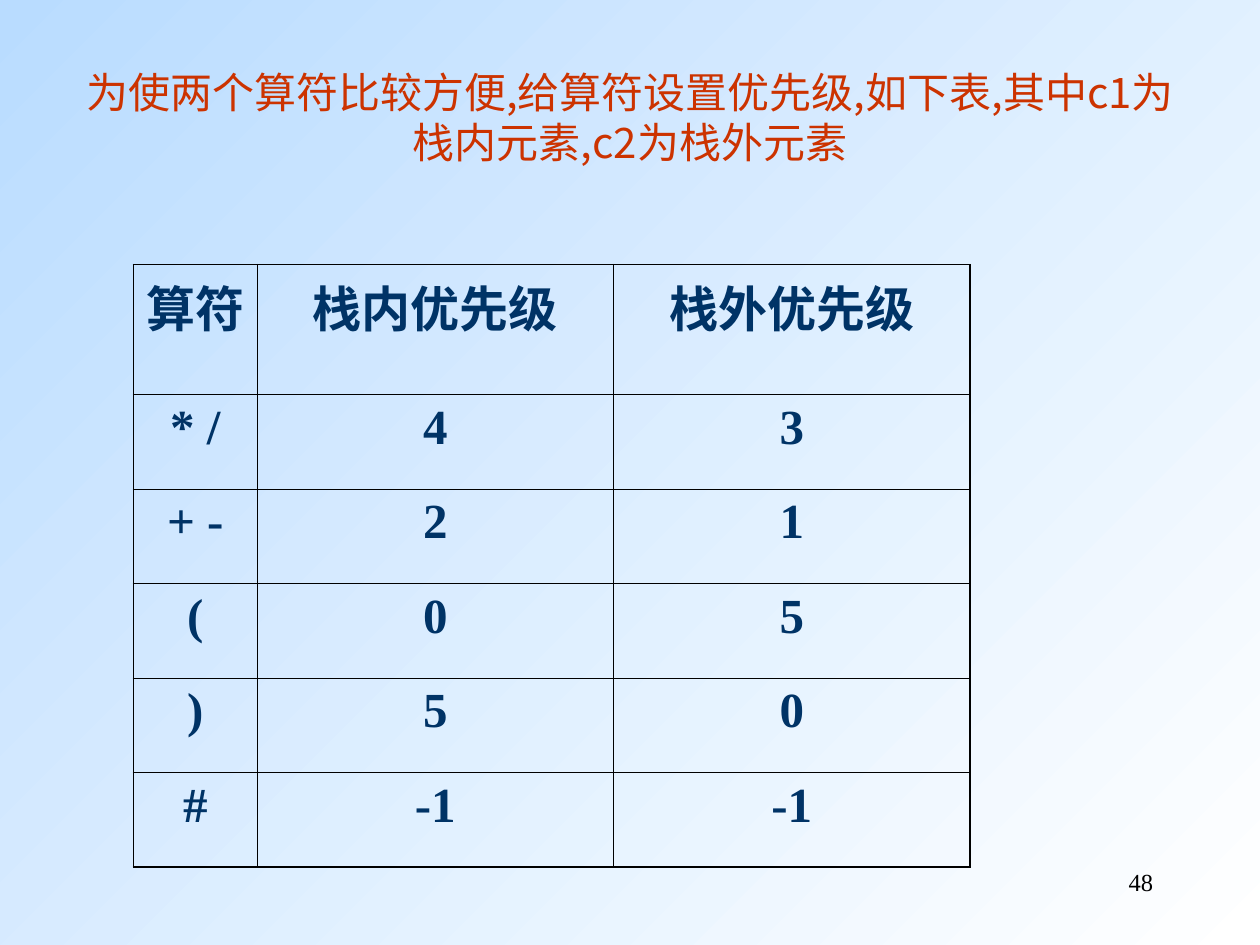
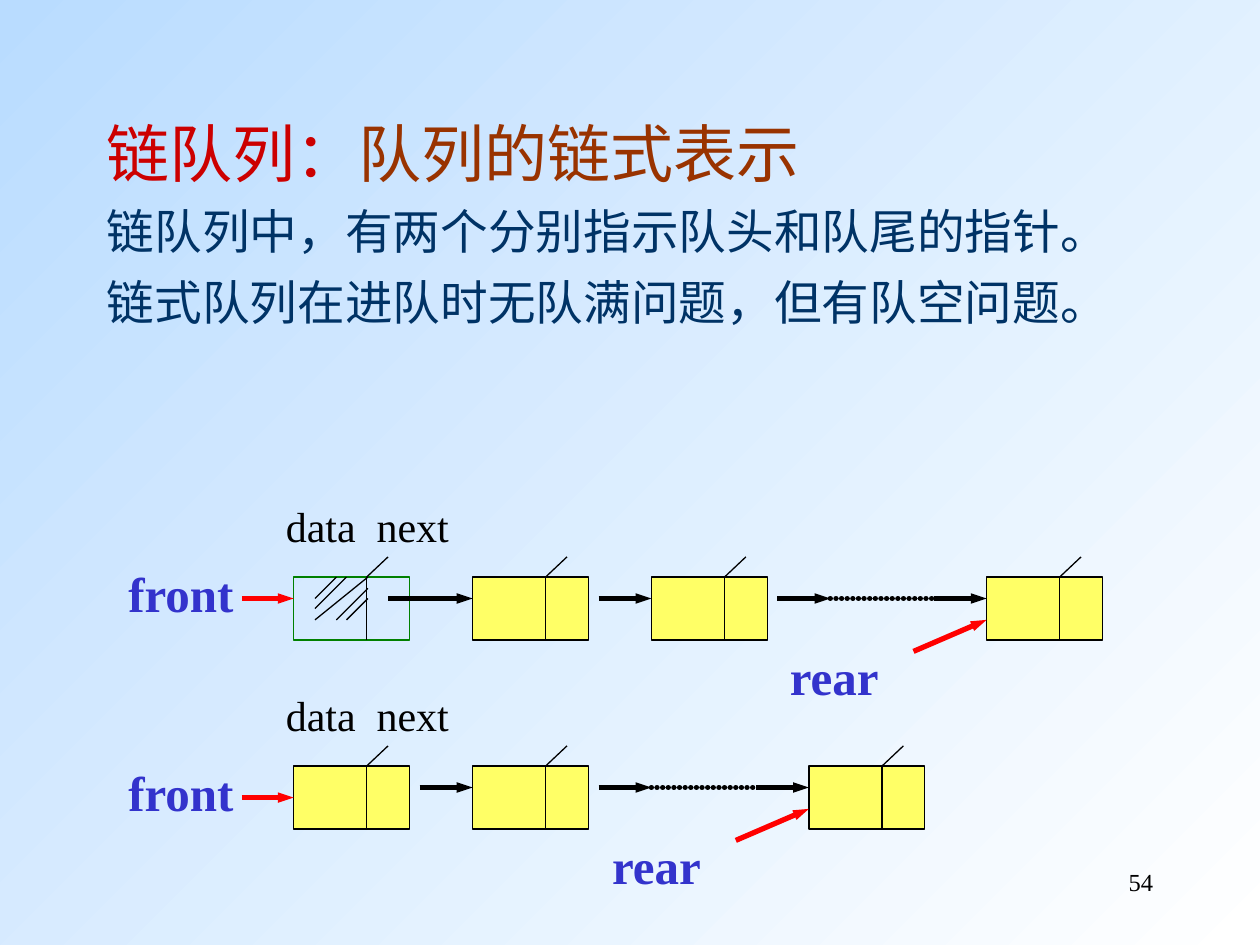
"""Build two slides on operator priorities and linked queues."""
from dataclasses import dataclass

from lxml import etree
from pptx import Presentation
from pptx import util as u
from pptx.dml.color import RGBColor
from pptx.enum import shapes, text
from pptx.oxml.ns import qn


@dataclass(frozen=True)
class Theme:
    sky: str = "B9DCFF"
    white: str = "FFFFFF"
    black: str = "000000"
    navy: str = "003366"
    orange: str = "CC3300"
    red: str = "CC0000"
    brown: str = "993300"
    pointer: str = "FF0000"
    label: str = "3333CC"
    node: str = "FFFF66"
    header_node: str = "008000"
    serif: str = "Times New Roman"
    sans: str = "Noto Sans CJK SC"
    title: float = 36
    strong: float = 28
    body: float = 27.2
    small: float = 24
    number: float = 14
    thin: float = 0.75
    thick: float = 3
    frame: float = 1.08
    grid: float = 0.45


theme = Theme()


def add_text(parent, at, words, size, color, font=theme.serif, bold=False,
             align=text.PP_ALIGN.LEFT, anchor=text.MSO_ANCHOR.TOP, wrap=True):
    box = parent.add_textbox(*map(u.Inches, at))
    frame = box.text_frame
    frame.word_wrap = wrap
    frame.vertical_anchor = anchor
    frame.text = words
    for para in frame.paragraphs:
        para.alignment = align
        for span in para.runs:
            span.font.name = font
            span.font.size = u.Pt(size)
            span.font.bold = bold
            span.font.color.rgb = RGBColor.from_string(color)
    return box


def add_line(parent, start, end, color=theme.black, width=theme.thin, arrow=False):
    line = parent.add_connector(
        shapes.MSO_CONNECTOR.STRAIGHT, *map(u.Inches, (*start, *end)))
    line.line.color.rgb = RGBColor.from_string(color)
    line.line.width = u.Pt(width)
    properties = line.element.spPr
    etree.SubElement(properties, qn("a:effectLst"))
    if arrow:
        etree.SubElement(properties.find(qn("a:ln")), qn("a:tailEnd"),
                         type="triangle", w="sm", len="med")
    return line


deck = Presentation()
deck.slide_width, deck.slide_height = u.Inches(10), u.Inches(7.5)

pages = []
for number in ("48", "54"):
    page = deck.slides.add_slide(deck.slide_layouts[6])
    fill = page.background.fill
    fill.gradient()
    fill.gradient_angle = 315
    for stop, color in zip(fill.gradient_stops, (theme.sky, theme.white)):
        stop.color.rgb = RGBColor.from_string(color)
    add_text(page.shapes, (7.17, 6.83, 2.08, 0.5), number, theme.number, theme.black,
             align=text.PP_ALIGN.RIGHT)
    pages.append(page)
priority_page, queue_page = pages

add_text(priority_page.shapes, (0.5, 0.3, 9, 1.25),
         "为使两个算符比较方便,给算符设置优先级,如下表,其中c1为栈内元素,c2为栈外元素",
         theme.small, theme.orange, font=theme.sans,
         align=text.PP_ALIGN.CENTER, anchor=text.MSO_ANCHOR.MIDDLE)

priorities = (
    ("算符", "栈内优先级", "栈外优先级"),
    ("* /", "4", "3"),
    ("+ -", "2", "1"),
    ("(", "0", "5"),
    (")", "5", "0"),
    ("#", "-1", "-1"),
)
row_count, column_count = len(priorities), len(priorities[0])
table = priority_page.shapes.add_table(
    row_count, column_count,
    u.Inches(1.06), u.Inches(2.1), u.Inches(6.64), u.Inches(4.78)).table
table.first_row = table.horz_banding = False
for column, width in zip(table.columns, (0.98, 2.83, 2.83)):
    column.width = u.Inches(width)
for r, values in enumerate(priorities):
    table.rows[r].height = u.Inches(0.75 if r else 1.03)
    for c, value in enumerate(values):
        cell = table.cell(r, c)
        cell.text = value
        para = cell.text_frame.paragraphs[0]
        para.alignment = text.PP_ALIGN.CENTER
        font = para.runs[0].font
        font.name, font.size, font.bold = theme.serif, u.Pt(theme.strong), True
        font.color.rgb = RGBColor.from_string(theme.navy)
        outer_sides = {"lnL": c == 0, "lnR": c == column_count - 1,
                       "lnT": r == 0, "lnB": r == row_count - 1}
        for side, outer in outer_sides.items():
            border = etree.SubElement(
                cell._tc.get_or_add_tcPr(), qn(f"a:{side}"),
                w=str(u.Pt(theme.frame if outer else theme.grid)))
            solid = etree.SubElement(border, qn("a:solidFill"))
            etree.SubElement(solid, qn("a:srgbClr"), val=theme.black)
        cell.fill.background()

title = add_text(queue_page.shapes, (0.75, 0.67, 8.5, 1.08), "链队列：", theme.title,
                 theme.red, anchor=text.MSO_ANCHOR.MIDDLE)
span = title.text_frame.paragraphs[0].add_run()
span.text = "队列的链式表示"
span.font.name, span.font.size = theme.serif, u.Pt(theme.title)
span.font.color.rgb = RGBColor.from_string(theme.brown)

body = add_text(queue_page.shapes, (0.75, 1.55, 8.5, 2.02),
                "链队列中，有两个分别指示队头和队尾的指针。\n"
                "链式队列在进队时无队满问题，但有队空问题。", theme.body, theme.navy)
body.text_frame.paragraphs[1].space_before = u.Pt(8)

node_width, node_height, data_width = 0.92, 0.5, 0.58
stub, arrow_drop = 0.42, 0.17
queues = (
    (4.58, (2.33, 3.75, 5.17, 7.83), True),
    (6.08, (2.33, 3.75, 6.42), False),
)
for top, lefts, has_header in queues:
    group = queue_page.shapes.add_group_shape().shapes
    link_y = top + arrow_drop
    first, last = lefts[0], lefts[-1]

    fields = add_text(group, (2.17, top - 0.66, 1.83, 0.5), "data\tnext",
                      theme.small, theme.black)
    tabs = etree.SubElement(fields.text_frame.paragraphs[0]._p.get_or_add_pPr(),
                            qn("a:tabLst"))
    etree.SubElement(tabs, qn("a:tab"), pos=str(u.Inches(0.72)), algn="l")

    nodes = []
    for left in lefts:
        node = group.add_shape(shapes.MSO_SHAPE.RECTANGLE, *map(
            u.Inches, (left, top, node_width, node_height)))
        node.shadow.inherit = False
        node.line.width = u.Pt(theme.thin)
        is_header = has_header and left == first
        if is_header:
            node.fill.background()
        else:
            node.fill.solid()
            node.fill.fore_color.rgb = RGBColor.from_string(theme.node)
        node.line.color.rgb = RGBColor.from_string(
            theme.header_node if is_header else theme.black)
        divider = left + data_width
        add_line(group, (divider, top), (divider, top + node_height))
        add_line(group, (divider, top), (divider + 0.17, top - 0.16))
        nodes.append(node)

    for position, left in enumerate(lefts[1:]):
        start = 3.08 if has_header and position == 0 else left - stub
        add_line(group, (start, link_y), (left, link_y), width=theme.thick, arrow=True)
    gap_start = lefts[-2] + 1
    add_line(group, (gap_start, link_y), (gap_start + stub, link_y),
             width=theme.thick, arrow=True)
    dots = add_line(group, (gap_start + stub, link_y), (last - stub, link_y),
                    width=theme.thick)
    outline = dots.element.spPr.find(qn("a:ln"))
    outline.set("cap", "rnd")
    dashes = etree.SubElement(outline, qn("a:custDash"))
    etree.SubElement(dashes, qn("a:ds"), d="100000", sp="7000")

    front_y = link_y if has_header else top + node_height / 2
    front = add_line(group, (1.92, front_y), (first, front_y),
                     theme.pointer, theme.thick, arrow=True)
    if not has_header:
        front.end_connect(nodes[0], 1)
    add_line(group, (last - 0.58, top + 0.59), (last, top + 0.34),
             theme.pointer, theme.thick, arrow=True)
    for name, at in (("front", (0.92, front_y - 0.33, 1.04, 0.57)),
                     ("rear", (last - 1.66, top + 0.5, 0.91, 0.57))):
        add_text(group, at, name, theme.strong, theme.label, bold=True, wrap=False)

    if has_header:
        hatching = (
            ((2.67, 4.58), (2.5, 4.75)),
            ((2.75, 4.58), (2.5, 4.83)),
            ((2.92, 4.58), (2.5, 4.92)),
            ((2.92, 4.67), (2.67, 4.92)),
            ((2.92, 4.75), (2.75, 4.92)),
        )
        for start, end in hatching:
            add_line(group, start, end)

deck.save("out.pptx")
